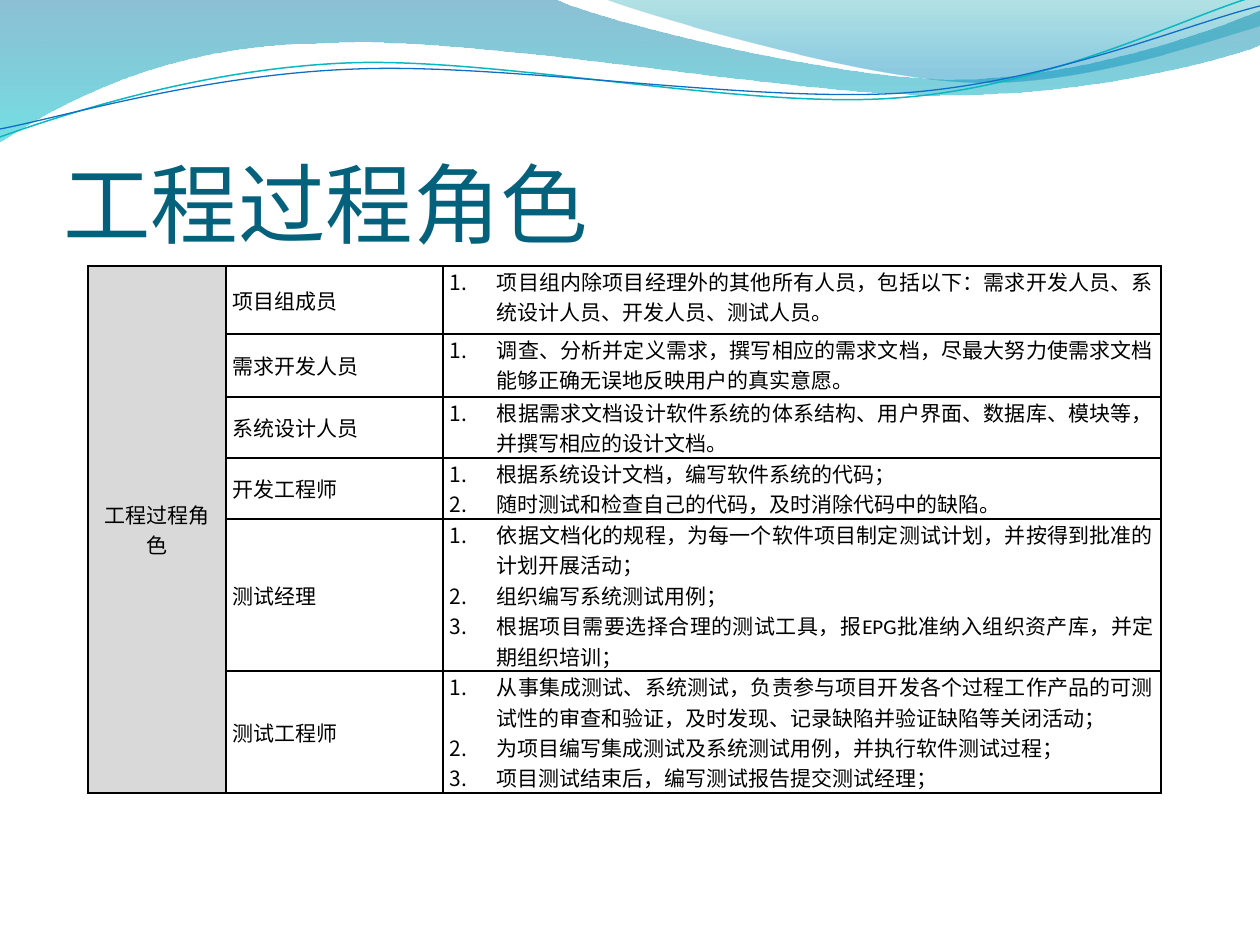
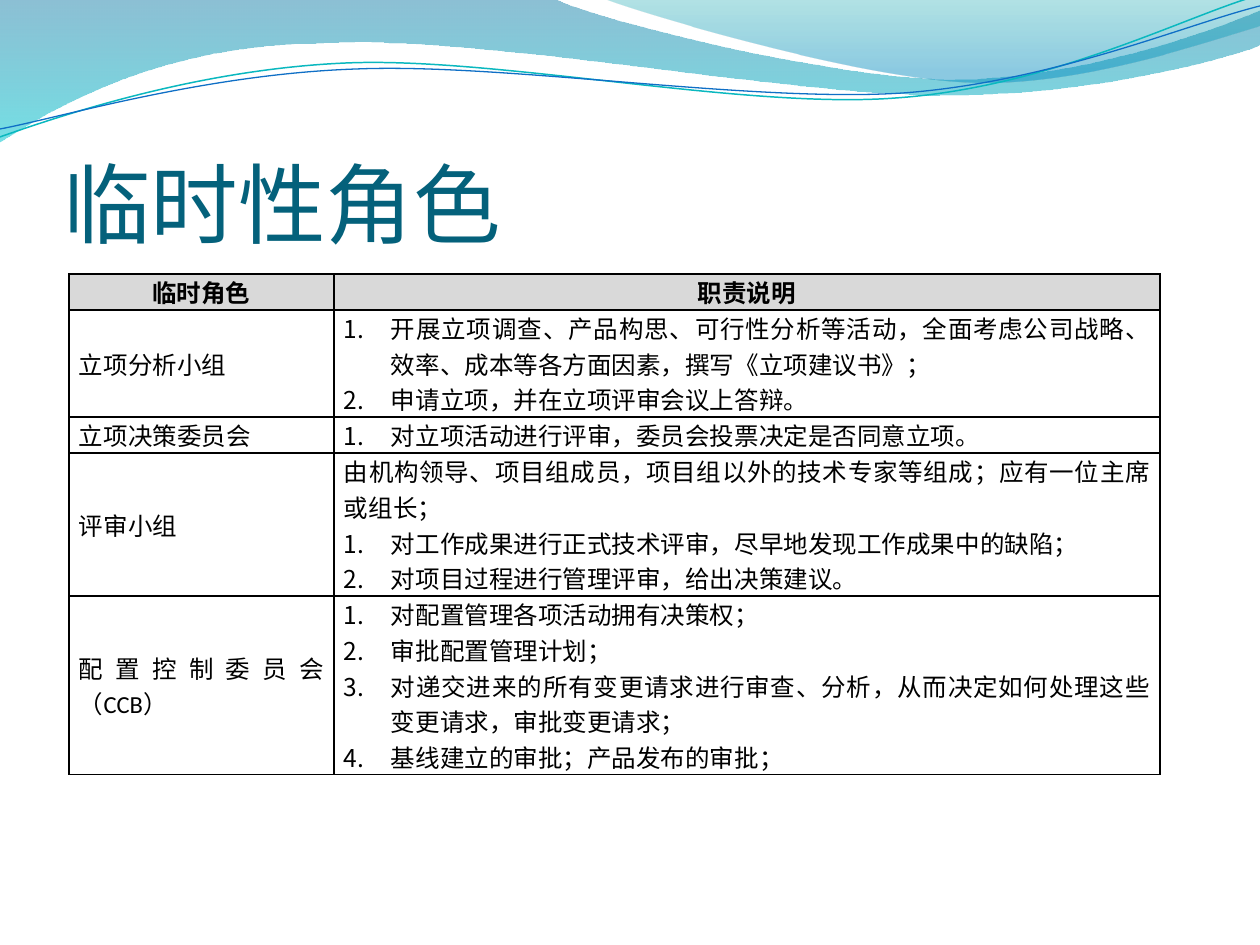
from lxml import etree
from pptx import Presentation
from pptx.dml.color import RGBColor
from pptx.enum.lang import MSO_LANGUAGE_ID
from pptx.enum.text import MSO_ANCHOR, MSO_AUTO_SIZE, PP_ALIGN
from pptx.oxml.ns import qn
from pptx.util import Emu, Pt

CHINESE = MSO_LANGUAGE_ID.SIMPLIFIED_CHINESE
TOP, MIDDLE, BOTTOM = MSO_ANCHOR.TOP, MSO_ANCHOR.MIDDLE, MSO_ANCHOR.BOTTOM
LEFT, CENTER, JUSTIFY = PP_ALIGN.LEFT, PP_ALIGN.CENTER, PP_ALIGN.JUSTIFY
NO_FIT = MSO_AUTO_SIZE.NONE

PX_PER_INCH = 126
TITLE_ONLY = 5
FONT = "Calibri"
TITLE_COLOR, TEXT_COLOR, BORDER_COLOR, HEAD_FILL = "04617B", "000000", "000000", "D9D9D9"
NUMBER_INDENT, NUMBER_TAB = 47, 32

# Outlines start with a point; each later part is a line (1 point) or a Bézier curve (3 points).
LEFT_WAVE = [(0, -1), [(554, -1)],
             [(600, 21), (837, 79), (955, 79)], [(1075, 79), (1207, 33), (1260, 11)],
             [(1261, 45)],
             [(1239, 55), (1096, 96), (940, 95)], [(784, 95), (481, 35), (324, 43)],
             [(163, 44), (58, 105), (-1, 142)]]
RIGHT_WAVE = [(604, -1), [(641, 14), (859, 78), (969, 82)],
              [(1079, 87), (1211, 40), (1260, 26)], [(1260, 0)]]
TEAL_CURVE = [(0, 137), [(60, 116), (198, 69), (348, 63)],
              [(498, 57), (746, 110), (897, 98)], [(1050, 87), (1182, 18), (1256, -4)]]
BLUE_CURVE = [(0, 129), [(59, 118), (205, 74), (357, 69)],
              [(504, 63), (752, 103), (903, 93)], [(1053, 82), (1187, 24), (1260, 6)]]

# Each row: role, numbered duties, and sometimes an introduction before them.
PROJECT_ROLES = [
    ("项目组成员", ["项目组内除项目经理外的其他所有人员，包括以下：需求开发人员、系统设计人员、开发人员、测试人员。"]),
    ("需求开发人员", ["调查、分析并定义需求，撰写相应的需求文档，尽最大努力使需求文档能够正确无误地反映用户的真实意愿。"]),
    ("系统设计人员", ["根据需求文档设计软件系统的体系结构、用户界面、数据库、模块等，并撰写相应的设计文档。"]),
    ("开发工程师", ["根据系统设计文档，编写软件系统的代码；",
               "随时测试和检查自己的代码，及时消除代码中的缺陷。"]),
    ("测试经理", ["依据文档化的规程，为每一个软件项目制定测试计划，并按得到批准的计划开展活动；",
              "组织编写系统测试用例；",
              "根据项目需要选择合理的测试工具，报EPG批准纳入组织资产库，并定期组织培训；"]),
    ("测试工程师", ["从事集成测试、系统测试，负责参与项目开发各个过程工作产品的可测试性的审查和验证，及时发现、记录缺陷并验证缺陷等关闭活动；",
               "为项目编写集成测试及系统测试用例，并执行软件测试过程；",
               "项目测试结束后，编写测试报告提交测试经理；"]),
]
TEMPORARY_ROLES = [
    ("立项分析小组", ["开展立项调查、产品构思、可行性分析等活动，全面考虑公司战略、效率、成本等各方面因素，撰写《立项建议书》；",
                "申请立项，并在立项评审会议上答辩。"]),
    ("立项决策委员会", ["对立项活动进行评审，委员会投票决定是否同意立项。"]),
    ("评审小组", ["对工作成果进行正式技术评审，尽早地发现工作成果中的缺陷；",
              "对项目过程进行管理评审，给出决策建议。"],
     "由机构领导、项目组成员，项目组以外的技术专家等组成；应有一位主席或组长；"),
    ("配置控制委员会（CCB）", ["对配置管理各项活动拥有决策权；",
                     "审批配置管理计划；",
                     "对递交进来的所有变更请求进行审查、分析，从而决定如何处理这些变更请求，审批变更请求；",
                     "基线建立的审批；产品发布的审批；"]),
]


def px(length):
    return Emu(round(length * 914400 / PX_PER_INCH))


def rgb(color):
    return RGBColor.from_string(color)


def bend(shape, parts):
    """Turn each run of three line segments that stands for a curve into one Bézier segment."""
    segments = iter(list(shape.element.iter(qn("a:lnTo"))))
    for part in parts:
        lines = [next(segments) for _ in part]
        if len(lines) == 3:
            curve = etree.Element(qn("a:cubicBezTo"))
            lines[0].addprevious(curve)
            for line in lines:
                curve.append(line[0])
                line.getparent().remove(line)


def number(para):
    """Give the paragraph a hanging automatic number."""
    props = para._p.get_or_add_pPr()
    props.set("marL", str(px(NUMBER_INDENT)))
    props.set("indent", str(-px(NUMBER_INDENT)))
    etree.SubElement(props, qn("a:buAutoNum"), type="arabicPeriod")
    tabs = etree.SubElement(props, qn("a:tabLst"))
    etree.SubElement(tabs, qn("a:tab"), pos=str(px(NUMBER_TAB)), algn="l")


def write(frame, lines, size, color=TEXT_COLOR, bold=False, align=JUSTIFY, numbered_from=None):
    for index, line in enumerate(lines):
        para = frame.paragraphs[0] if index == 0 else frame.add_paragraph()
        para.alignment = align
        if numbered_from is not None and index >= numbered_from:
            number(para)
        span = para.add_run()
        span.text = line
        span.font.name, span.font.size, span.font.bold = FONT, Pt(size), bold
        span.font.color.rgb = rgb(color)
        span.font.language_id = CHINESE


def add_borders(cell):
    props = cell._tc.get_or_add_tcPr()
    for index, side in enumerate(("lnL", "lnR", "lnT", "lnB")):
        line = etree.Element(qn(f"a:{side}"), w=str(Pt(1)))
        fill = etree.SubElement(line, qn("a:solidFill"))
        etree.SubElement(fill, qn("a:srgbClr"), val=BORDER_COLOR)
        props.insert(index, line)


class RoleDeck:
    def __init__(self):
        self.deck = Presentation()
        self.deck.slide_width, self.deck.slide_height = px(1260), px(945)
        self.layout = self.deck.slide_layouts[TITLE_ONLY]
        self.page = None

    def add_page(self, title):
        self.page = self.deck.slides.add_slide(self.layout)
        box = self.page.shapes.title
        box.left, box.top, box.width, box.height = px(63), px(98), px(1134), px(157)
        frame = box.text_frame
        frame.auto_size, frame.vertical_anchor = NO_FIT, BOTTOM
        frame.margin_left = frame.margin_right = frame.margin_bottom = 0
        frame.margin_top = px(6)
        write(frame, [title], 50, color=TITLE_COLOR, align=LEFT)

    def add_outline(self, outline, closed):
        """Draw an outline and move it to the layout, so that every page shows it."""
        (left, top), *parts = outline
        builder = self.page.shapes.build_freeform(px(left), px(top))
        builder.add_line_segments([(px(x), px(y)) for part in parts for x, y in part],
                                  close=closed)
        shape = builder.convert_to_shape()
        bend(shape, parts)
        shape.shadow.inherit = False
        tree = self.layout.element.cSld.spTree
        shape.element.nvSpPr.cNvPr.set("id", str(100 + len(tree)))
        tree.append(shape.element)
        return shape

    def add_wave(self, outline, stops):
        """Stops hold position, colour and opacity in percent."""
        shape = self.add_outline(outline, True)
        shape.line.fill.background()
        shape.fill.gradient()
        shape.fill.gradient_angle = 270
        for stop, (position, color, _) in zip(shape.fill.gradient_stops, stops):
            stop.position = position / 100
            stop.color.rgb = rgb(color)
        for tint, (_, _, opacity) in zip(shape.element.iter(qn("a:srgbClr")), stops):
            etree.SubElement(tint, qn("a:alpha"), val=str(opacity * 1000))

    def add_curve(self, outline, color, width):
        shape = self.add_outline(outline, False)
        shape.fill.background()
        shape.line.color.rgb = rgb(color)
        shape.line.width = Pt(width)

    def add_grid(self, left, top, widths, heights):
        grid = self.page.shapes.add_table(len(heights), len(widths), px(left), px(top),
                                          px(sum(widths)), px(sum(heights))).table
        grid.first_row = grid.horz_banding = False
        for column, width in zip(grid.columns, widths):
            column.width = px(width)
        for row, height in zip(grid.rows, heights):
            row.height = px(height)
        for cell in grid.iter_cells():
            cell.fill.background()
            add_borders(cell)
        return grid

    def fill_cell(self, cell, lines, margin, anchor=TOP, fill=None, **style):
        cell.margin_left = cell.margin_right = px(margin)
        cell.margin_top = cell.margin_bottom = 0
        cell.vertical_anchor = anchor
        if fill:
            cell.fill.solid()
            cell.fill.fore_color.rgb = rgb(fill)
        write(cell.text_frame, lines, **style)

    def fill_roles(self, grid, roles, first_row, first_column, margin, size):
        for row, (role, duties, *intro) in enumerate(roles, first_row):
            self.fill_cell(grid.cell(row, first_column), [role], margin, MIDDLE, size=size)
            self.fill_cell(grid.cell(row, first_column + 1), intro + duties, margin,
                           size=size, numbered_from=len(intro))


def main():
    show = RoleDeck()

    show.add_page("工程过程角色")
    show.add_wave(LEFT_WAVE, [(0, "0074A1", 45), (100, "00C6CF", 55)])
    show.add_wave(RIGHT_WAVE, [(0, "00A1A9", 30), (80, "008BBF", 45)])
    show.add_curve(TEAL_CURVE, "0AB8BF", 0.85)
    show.add_curve(BLUE_CURVE, "0F6FC6", 0.75)
    grid = show.add_grid(88, 266, [138, 217, 718], [68, 63, 61, 61, 152, 122])
    group = grid.cell(0, 0)
    group.merge(grid.cell(len(PROJECT_ROLES) - 1, 0))
    show.fill_cell(group, ["工程过程角色"], 7, MIDDLE, HEAD_FILL, size=12, align=CENTER)
    show.fill_roles(grid, PROJECT_ROLES, 0, 1, margin=7, size=12)

    show.add_page("临时性角色")
    grid = show.add_grid(69, 274, [265, 826], [36, 107, 36, 143, 178])
    for column, heading in enumerate(("临时角色", "职责说明")):
        show.fill_cell(grid.cell(0, column), [heading], 10, fill=HEAD_FILL,
                       size=14, bold=True, align=CENTER)
    show.fill_roles(grid, TEMPORARY_ROLES, 1, 0, margin=10, size=14)

    show.deck.save("out.pptx")


if __name__ == "__main__":
    main()
